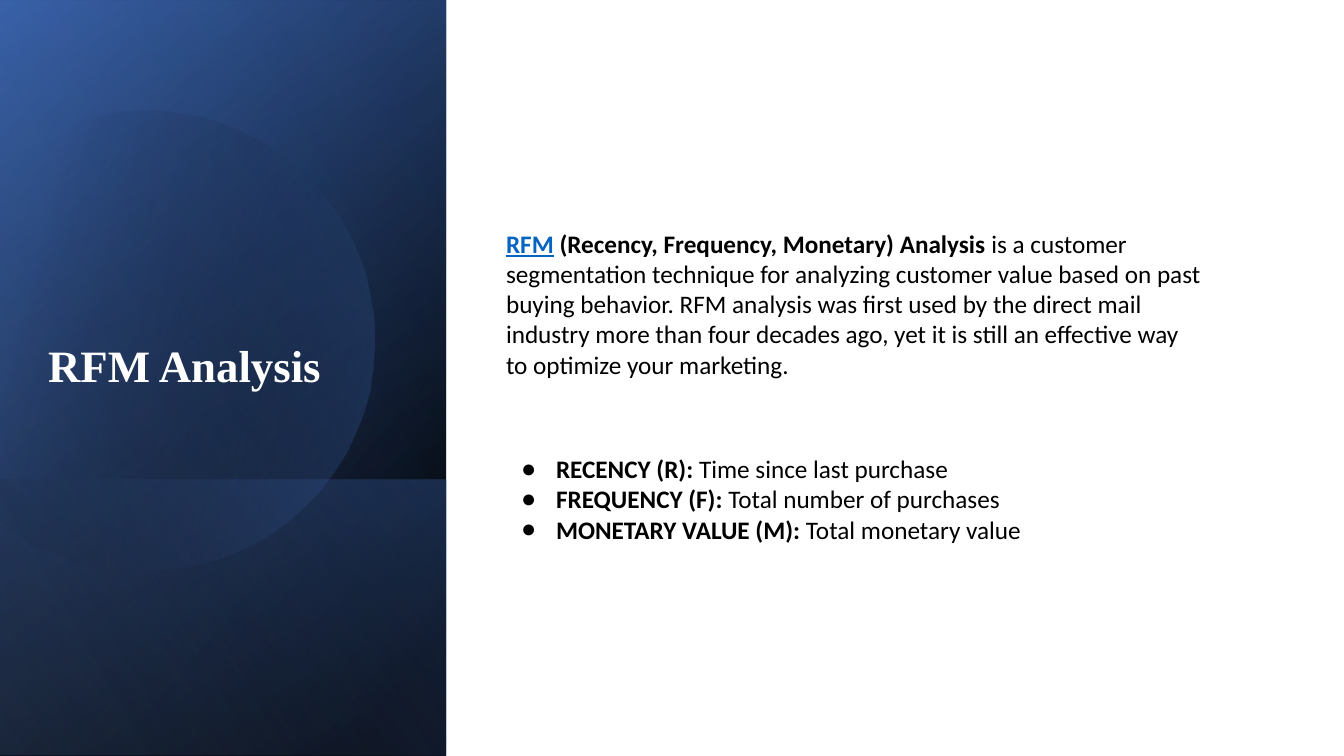
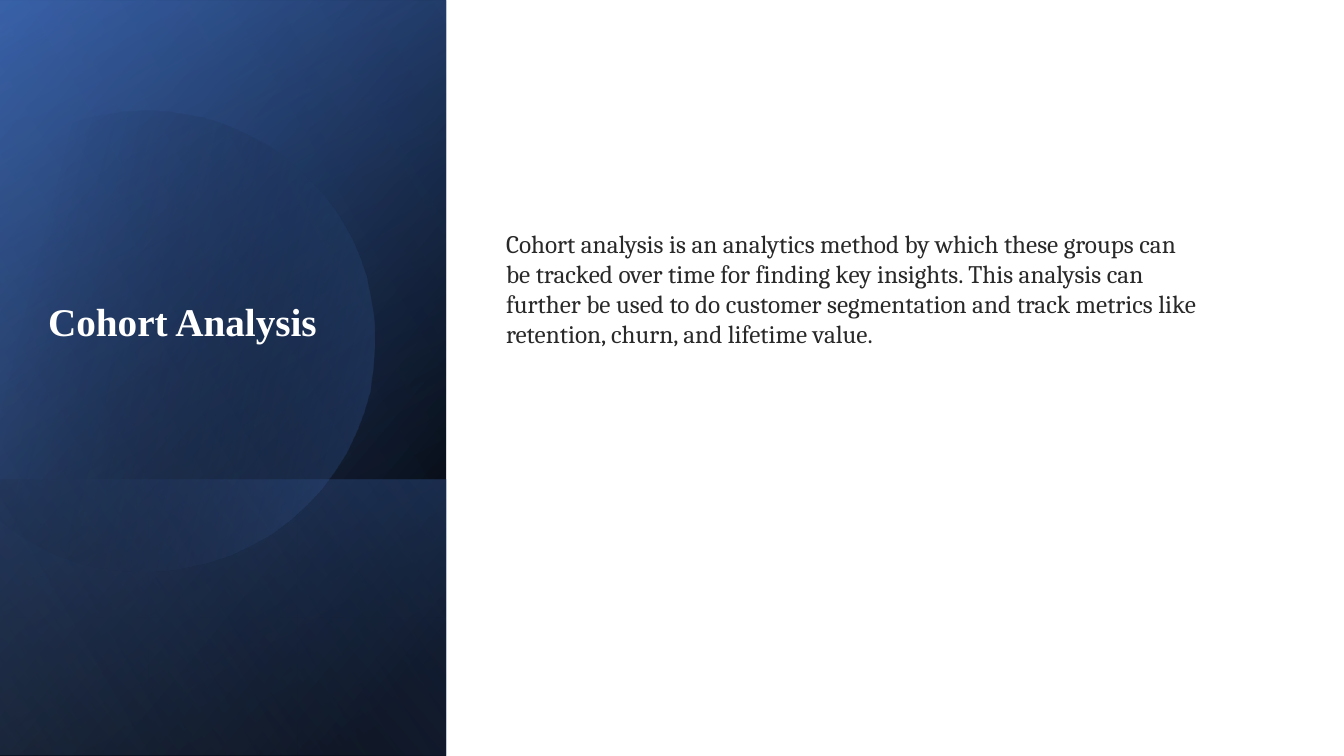
import math

from lxml import etree
from pptx import Presentation
from pptx import util as u
from pptx.dml.color import RGBColor
from pptx.enum import shapes, text
from pptx.oxml import ns

PX = 914400 / 100.8
PAGE_WIDTH, PAGE_HEIGHT = 1344, 756
PANEL_WIDTH = 446
BAND_TOP = 480

COLOURS = {
    "white": "FFFFFF",
    "black": "000000",
    "navy": "2F5597",
    "blue": "4472C4",
    "pale": "8FAADC",
    "link": "0563C1",
    "ink": "292929",
}

# Side panel layers: top, height, gradient angle, stops (position, colour, opacity)
PANEL_LAYERS = [
    (0, PAGE_HEIGHT, 50, [(8, "black", 100), (100, "navy", 100)]),
    (1, PAGE_HEIGHT, 30, [(0, "black", 0), (99, "blue", 46)]),
    (BAND_TOP, PAGE_HEIGHT - BAND_TOP, 130, [(2, "blue", 29), (100, "black", 30)]),
]
TOP_SHEEN = (-1, PAGE_HEIGHT, 120, [(0, "black", 0), (99, "pale", 11)])

# Disc outline: each segment is one end point, or two controls and an end point
DISC_START = (150, 111)
DISC_SEGMENTS = [
    [(248, 113), (338, 178), (366, 277)],
    [(401, 400), (331, 527), (209, 562)],
    [(132, 585), (53, 566), (-3, 518)],
    [(-15, 507)],
    [(-15, 176)],
    [(0, 162)],
    [(23, 143), (50, 129), (81, 120)],
    [(104, 114), (127, 111), (150, 111)],
]
DISC_CENTRE = (160, 337)
DISC_TURN = 16.1
CURVE_STEPS = 16

RFM_INTRO = [
    ("RFM", dict(bold=True, underline=True, colour="link")),
    (" (Recency, Frequency, Monetary) Analysis", dict(bold=True)),
    (" is a customer segmentation technique for analyzing customer value based on "
     "past buying behavior. RFM analysis was first used by the direct mail industry "
     "more than four decades ago, yet it is still an effective way to optimize your "
     "marketing.", {}),
]
RFM_TERMS = [
    ("RECENCY (R):", " Time since last purchase"),
    ("FREQUENCY (F):", " Total number of purchases"),
    ("MONETARY VALUE (M):", " Total monetary value"),
]
COHORT_INTRO = (
    "Cohort analysis is an analytics method by which these groups can be tracked over "
    "time for finding key insights. This analysis can further be used to do customer "
    "segmentation and track metrics like retention, churn, and lifetime value."
)


def px(length):
    return u.Emu(round(length * PX))


def rgb(name):
    return RGBColor.from_string(COLOURS[name])


def place(shape, left, top, width, height):
    shape.left, shape.top = px(left), px(top)
    shape.width, shape.height = px(width), px(height)


# Shapes
def make_plain(shape):
    shape.shadow.inherit = False
    shape.line.fill.background()


def fill_gradient(shape, angle, stops):
    shape.fill.gradient()
    shape.fill.gradient_angle = 360 - angle
    for stop, (position, colour, _) in zip(shape.fill.gradient_stops, stops):
        stop.position = position / 100
        stop.color.rgb = rgb(colour)
    nodes = shape.element.spPr.iter(ns.qn("a:gs"))
    for node, (_, _, opacity) in zip(nodes, stops):
        if opacity < 100:
            etree.SubElement(node[0], ns.qn("a:alpha"), val=str(opacity * 1000))


def add_rectangle(page, left, top, width, height):
    box = page.shapes.add_shape(
        shapes.MSO_SHAPE.RECTANGLE, px(left), px(top), px(width), px(height))
    make_plain(box)
    return box


def add_panel_layer(page, top, height, angle, stops):
    """Add a mirrored quarter-turned rectangle that covers the panel from top."""
    shift = (PANEL_WIDTH - height) / 2
    layer = add_rectangle(page, shift, top - shift, height, PANEL_WIDTH)
    layer.rotation = 90
    layer.element.spPr.xfrm.set("flipH", "1")
    fill_gradient(layer, angle, stops)


def cubic_point(points, t):
    weights = ((1 - t) ** 3, 3 * t * (1 - t) ** 2, 3 * t * t * (1 - t), t ** 3)
    return tuple(sum(w * p[axis] for w, p in zip(weights, points)) for axis in (0, 1))


def turn_point(point):
    angle = math.radians(DISC_TURN)
    across, down = (p - c for p, c in zip(point, DISC_CENTRE))
    return (DISC_CENTRE[0] + across * math.cos(angle) - down * math.sin(angle),
            DISC_CENTRE[1] + across * math.sin(angle) + down * math.cos(angle))


def add_disc(page):
    outline = [DISC_START]
    for segment in DISC_SEGMENTS:
        if len(segment) == 1:
            outline += segment
        else:
            curve = [outline[-1], *segment]
            outline += [cubic_point(curve, step / CURVE_STEPS)
                        for step in range(1, CURVE_STEPS + 1)]
    start, *rest = [turn_point(point) for point in outline]
    builder = page.shapes.build_freeform(*start, scale=PX)
    builder.add_line_segments(rest, close=True)
    disc = builder.convert_to_shape()
    disc.rotation = 360 - DISC_TURN
    make_plain(disc)
    fill_gradient(disc, 30, [(29, "black", 0), (100, "blue", 43)])


# Text
def add_span(para, words, font="Calibri", size=18, colour="black",
             bold=False, underline=False):
    span = para.add_run()
    span.text = words
    span.font.name = font
    span.font.size = u.Pt(size)
    span.font.color.rgb = rgb(colour)
    span.font.bold = bold
    span.font.underline = underline


def format_para(para, before=0, bullet=None):
    para.space_before = u.Pt(before)
    properties = para._p.get_or_add_pPr()
    properties.set("marL", str(px(50 if bullet else 0)))
    properties.set("indent", str(px(-35 if bullet else 0)))
    if bullet:
        tint = etree.SubElement(properties, ns.qn("a:buClr"))
        etree.SubElement(tint, ns.qn("a:srgbClr"), val=COLOURS["black"])
        etree.SubElement(properties, ns.qn("a:buChar"), char=bullet)
    else:
        etree.SubElement(properties, ns.qn("a:buNone"))


def set_title(page, words, size, top, height, bottom_inset=5):
    title = page.shapes.title
    place(title, 38, top, 353, height)
    frame = title.text_frame
    frame.word_wrap = True
    frame.auto_size = text.MSO_AUTO_SIZE.NONE
    frame.vertical_anchor = text.MSO_ANCHOR.BOTTOM
    frame.margin_bottom = px(bottom_inset)
    para = frame.paragraphs[0]
    para.alignment = text.PP_ALIGN.LEFT
    para.line_spacing = 0.9
    add_span(para, words, font="Times New Roman", size=size, colour="white", bold=True)


def open_body(page, height):
    body = page.placeholders[1]
    place(body, 496, 223, 720, height)
    frame = body.text_frame
    frame.word_wrap = True
    frame.auto_size = text.MSO_AUTO_SIZE.SHAPE_TO_FIT_TEXT
    format_para(frame.paragraphs[0])
    return frame


# Pages
def add_page(deck):
    page = deck.slides.add_slide(deck.slide_layouts[1])
    placeholders = [holder.element for holder in page.placeholders]
    backdrop = add_rectangle(page, 0, 0, PAGE_WIDTH, PAGE_HEIGHT)
    backdrop.fill.solid()
    backdrop.fill.fore_color.rgb = rgb("white")
    for layer in PANEL_LAYERS:
        add_panel_layer(page, *layer)
    add_disc(page)
    add_panel_layer(page, *TOP_SHEEN)
    # Bring the text in front of the panel
    for element in placeholders:
        element.getparent().append(element)
    return page


def add_rfm_page(deck):
    page = add_page(deck)
    set_title(page, "RFM Analysis", size=32, top=264, height=133)
    frame = open_body(page, height=360)
    for words, style in RFM_INTRO:
        add_span(frame.paragraphs[0], words, **style)
    for index, (term, meaning) in enumerate(RFM_TERMS):
        para = frame.add_paragraph()
        format_para(para, before=0 if index else 53, bullet="●")
        add_span(para, term, bold=True)
        add_span(para, meaning)


def add_cohort_page(deck):
    page = add_page(deck)
    set_title(page, "Cohort Analysis", size=28, top=294, height=103, bottom_inset=52)
    frame = open_body(page, height=132)
    add_span(frame.paragraphs[0], COHORT_INTRO, font="Cambria", colour="ink")


def main():
    deck = Presentation()
    deck.slide_width, deck.slide_height = px(PAGE_WIDTH), px(PAGE_HEIGHT)
    add_rfm_page(deck)
    add_cohort_page(deck)
    deck.save("out.pptx")


if __name__ == "__main__":
    main()
